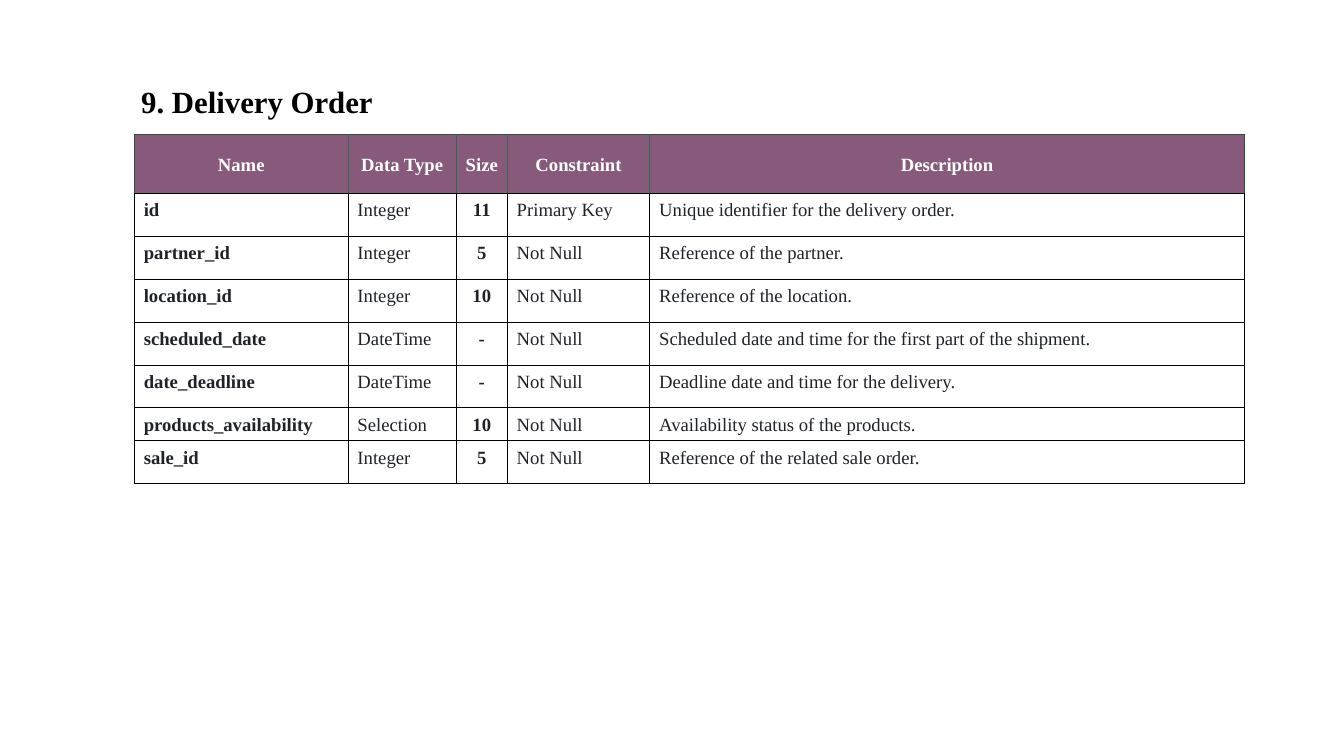
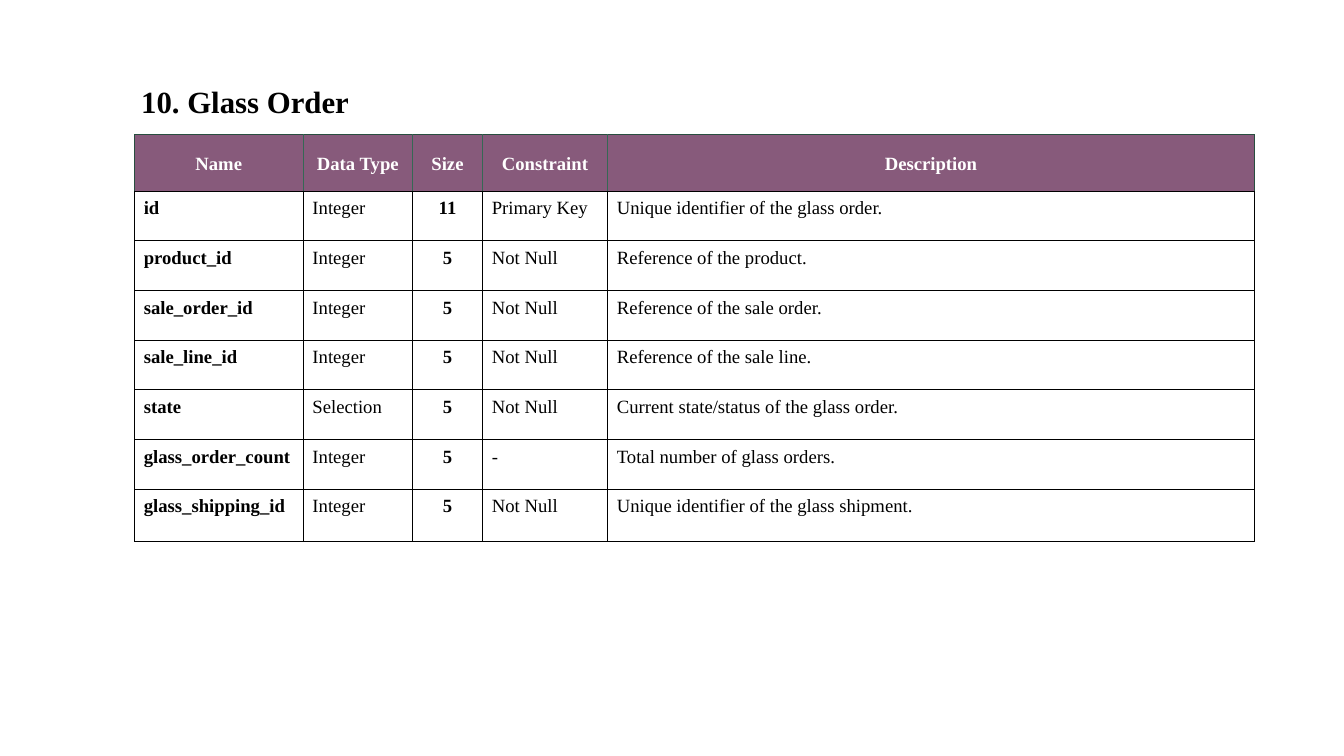
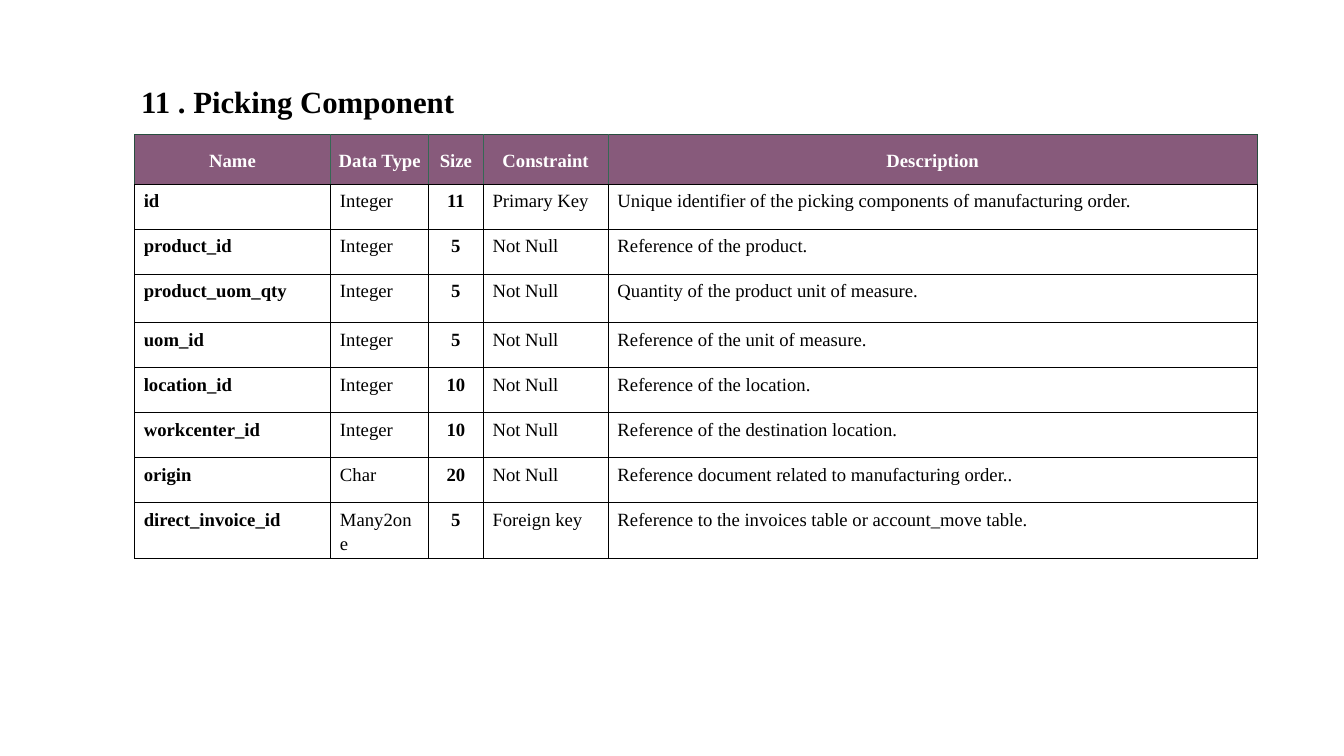
"""Build three data dictionary slides, each with a title and a field table."""
import pptx
import pptx.dml.color
import pptx.enum.text
import pptx.oxml
import pptx.oxml.ns
import pptx.util

COLS, ROWS = 20, 11.25
LEFT, TITLE_TOP, TABLE_TOP = 2, 1.13, 2
FONT = "Times New Roman"
BLACK, WHITE, INK = "000000", "FFFFFF", "1F2328"
PLUM, EDGE, DIVIDER = "875A7B", "284E3F", "356854"
MIDDLE = pptx.enum.text.MSO_ANCHOR.MIDDLE
TOP = pptx.enum.text.MSO_ANCHOR.TOP
CENTER = pptx.enum.text.PP_ALIGN.CENTER
ALIGN_LEFT = pptx.enum.text.PP_ALIGN.LEFT
HEADINGS = ["Name", "Data Type", "Size", "Constraint", "Description"]
BOLD_COLUMNS, CENTERED_COLUMNS = (0, 2), (2,)

ENTITIES = [
    {
        "title": "9. Delivery Order", "title_height": 0.93, "color": INK,
        "widths": [3.18, 1.61, 0.76, 2.12, 8.85],
        "header_height": 0.87, "row_height": 0.64, "odd_heights": {6: 0.49},
        "fields": [
            ("id", "Integer", "11", "Primary Key", "Unique identifier for the delivery order."),
            ("partner_id", "Integer", "5", "Not Null", "Reference of the partner."),
            ("location_id", "Integer", "10", "Not Null", "Reference of the location."),
            ("scheduled_date", "DateTime", "-", "Not Null",
             "Scheduled date and time for the first part of the shipment."),
            ("date_deadline", "DateTime", "-", "Not Null", "Deadline date and time for the delivery."),
            ("products_availability", "Selection", "10", "Not Null", "Availability status of the products."),
            ("sale_id", "Integer", "5", "Not Null", "Reference of the related sale order."),
        ],
    },
    {
        "title": "10. Glass Order", "title_height": 0.67, "color": BLACK,
        "widths": [2.51, 1.63, 1.04, 1.86, 9.63],
        "header_height": 0.84, "row_height": 0.74, "odd_heights": {7: 0.77},
        "fields": [
            ("id", "Integer", "11", "Primary Key", "Unique identifier of the glass order."),
            ("product_id", "Integer", "5", "Not Null", "Reference of the product."),
            ("sale_order_id", "Integer", "5", "Not Null", "Reference of the sale order."),
            ("sale_line_id", "Integer", "5", "Not Null", "Reference of the sale line."),
            ("state", "Selection", "5", "Not Null", "Current state/status of the glass order."),
            ("glass_order_count", "Integer", "5", "-", "Total number of glass orders."),
            ("glass_shipping_id", "Integer", "5", "Not Null", "Unique identifier of the glass shipment."),
        ],
    },
    {
        "title": "11 . Picking Component", "title_height": 0.77, "color": BLACK,
        "widths": [2.92, 1.46, 0.81, 1.86, 9.66],
        "header_height": 0.74, "row_height": 0.67, "odd_heights": {3: 0.72},
        "fields": [
            ("id", "Integer", "11", "Primary Key",
             "Unique identifier of the picking components of manufacturing order."),
            ("product_id", "Integer", "5", "Not Null", "Reference of the product."),
            ("product_uom_qty", "Integer", "5", "Not Null", "Quantity of the product unit of measure."),
            ("uom_id", "Integer", "5", "Not Null", "Reference of the unit of measure."),
            ("location_id", "Integer", "10", "Not Null", "Reference of the location."),
            ("workcenter_id", "Integer", "10", "Not Null", "Reference of the destination location."),
            ("origin", "Char", "20", "Not Null", "Reference document related to manufacturing order.."),
            ("direct_invoice_id", "Many2one", "5", "Foreign key",
             "Reference to the invoices table or account_move table."),
        ],
    },
]


def grid(n):
    """Return the length of n grid steps, with COLS steps across the slide."""
    return pptx.util.Inches(n)


def rgb(color):
    """Turn a hex string into a colour."""
    return pptx.dml.color.RGBColor.from_string(color)


def set_attributes(target, values):
    """Set every attribute named in a dict."""
    for name, value in values.items():
        setattr(target, name, value)


def set_margins(target, across, down):
    """Set equal side margins and equal top and bottom margins."""
    set_attributes(target, {"margin_left": grid(across), "margin_right": grid(across),
                            "margin_top": grid(down), "margin_bottom": grid(down)})


def write(p, text, size, color, bold):
    """Write one formatted run into a paragraph."""
    r = p.add_run()
    r.text = text
    set_attributes(r.font, {"name": FONT, "size": pptx.util.Pt(size), "bold": bold})
    r.font.color.rgb = rgb(color)


def add_title(slide, text, height):
    """Place and format the title placeholder."""
    sp = slide.shapes.title
    set_attributes(sp, {"left": grid(LEFT), "top": grid(TITLE_TOP),
                        "width": grid(5.75), "height": grid(height)})
    tf = sp.text_frame
    set_attributes(tf, {"word_wrap": True, "vertical_anchor": TOP,
                        "auto_size": pptx.enum.text.MSO_AUTO_SIZE.NONE})
    set_margins(tf, 0.1, 0.1)
    p = tf.paragraphs[0]
    p.alignment = ALIGN_LEFT
    write(p, text, 33, BLACK, True)


def set_borders(cell, borders):
    """Draw the cell's borders from a dict of side to colour and width."""
    tcPr = cell._tc.get_or_add_tcPr()
    for side in "LRTB":
        color, width = borders[side]
        tcPr.append(pptx.oxml.parse_xml(
            f'<a:ln{side} {pptx.oxml.ns.nsdecls("a")} w="{pptx.util.Pt(width)}">'
            f'<a:solidFill><a:srgbClr val="{color}"/></a:solidFill></a:ln{side}>'))


def fill_cell(cell, text, color, bold, align):
    """Write a cell's text with the shared line spacing."""
    p = cell.text_frame.paragraphs[0]
    set_attributes(p, {"alignment": align, "line_spacing": 1.15})
    write(p, text, 20, color, bold)


def format_header(cell, text, col):
    """Format one heading cell."""
    last = len(HEADINGS) - 1
    set_borders(cell, {"L": (DIVIDER if col else EDGE, 0.94),
                       "R": (EDGE if col == last else DIVIDER, 0.94),
                       "T": (EDGE, 0.94), "B": (BLACK, 0.75)})
    cell.fill.solid()
    cell.fill.fore_color.rgb = rgb(PLUM)
    cell.vertical_anchor = MIDDLE
    set_margins(cell, 0.08, 0.02)
    fill_cell(cell, text, WHITE, True, CENTER)


def format_field(cell, text, col, color):
    """Format one body cell."""
    sides = "LRB" if cell is None else "LRTB"
    set_borders(cell, dict.fromkeys(sides, (BLACK, 0.75)))
    cell.fill.background()
    set_margins(cell, 0.14, 0.06)
    fill_cell(cell, text, color, col in BOLD_COLUMNS,
              CENTER if col in CENTERED_COLUMNS else ALIGN_LEFT)


def add_field_table(slide, entity):
    """Add the table that lists an entity's fields."""
    widths, fields = entity["widths"], entity["fields"]
    heights = [entity["header_height"]] + [
        entity["odd_heights"].get(i, entity["row_height"]) for i in range(1, len(fields) + 1)]
    table = slide.shapes.add_table(len(heights), len(widths), grid(LEFT), grid(TABLE_TOP),
                                   grid(sum(widths)), grid(sum(heights))).table
    table.horz_banding = False
    for column, width in zip(table.columns, widths):
        column.width = grid(width)
    for row, height in zip(table.rows, heights):
        row.height = grid(height)
    for col, heading in enumerate(HEADINGS):
        format_header(table.cell(0, col), heading, col)
    for i, field in enumerate(fields, 1):
        for col, text in enumerate(field):
            format_field(table.cell(i, col), text, col, entity["color"])


def main():
    """Build and save the presentation."""
    prs = pptx.Presentation()
    set_attributes(prs, {"slide_width": grid(COLS), "slide_height": grid(ROWS)})
    layout = prs.slide_layouts.get_by_name("Title Only")
    for entity in ENTITIES:
        slide = prs.slides.add_slide(layout)
        add_title(slide, entity["title"], entity["title_height"])
        add_field_table(slide, entity)
    prs.save("out.pptx")


if __name__ == "__main__":
    main()
